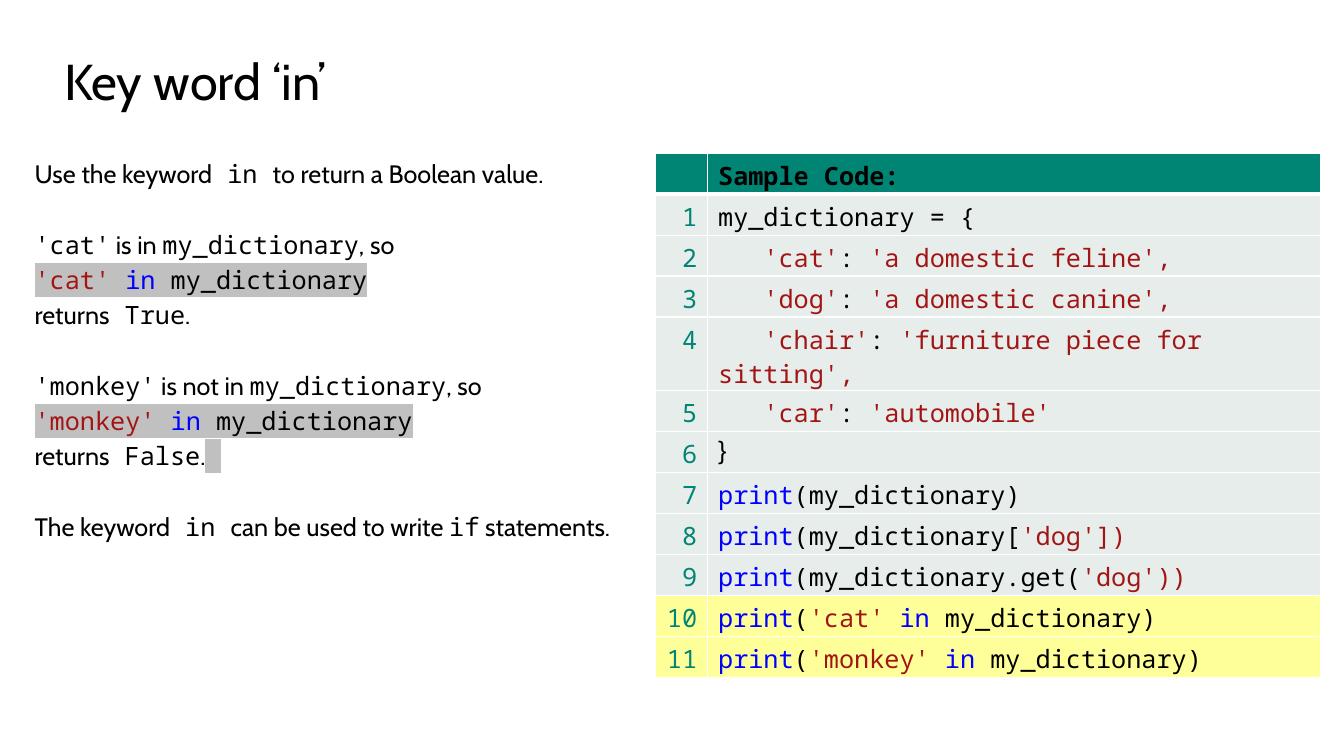
from lxml.etree import SubElement
from pptx import Presentation
from pptx.dml.color import RGBColor
from pptx.enum.text import MSO_ANCHOR, PP_ALIGN
from pptx.oxml import parse_xml
from pptx.oxml.ns import nsdecls, qn
from pptx.util import Pt

PX = 9525
BLACK = RGBColor(0, 0, 0)
WHITE = RGBColor(255, 255, 255)
TEAL = RGBColor(0x00, 0x85, 0x75)
PALE = RGBColor(0xE6, 0xED, 0xEB)
YELLOW = RGBColor(0xFF, 0xFF, 0x99)
RED = RGBColor(0xA3, 0x15, 0x15)
BLUE = RGBColor(0, 0, 255)
GREY = RGBColor(0xC0, 0xC0, 0xC0)
SANS, MONO = "Cabin", "Noto Sans Mono"

# Each style: font, colour, highlight
STYLES = {
    "text": (SANS, BLACK, None),
    "code": (MONO, BLACK, None),
    "str": (MONO, RED, None),
    "key": (MONO, BLUE, None),
    "num": (MONO, TEAL, None),
    "brace": ("Arial", BLACK, None),
    "mark": (MONO, BLACK, GREY),
    "markstr": (MONO, RED, GREY),
    "markkey": (MONO, BLUE, GREY),
}


def test(word):
    return [(word, "markstr"), (" ", "mark"), ("in", "markkey"),
            (" my_dictionary", "mark")]


def claim(word, verb):
    return [(word, "code"), (verb, "text"), ("my_dictionary", "code"),
            (", so", "text")]


def result(value):
    return [("returns", "text"), (" " + value, "code"), (".", "text")]


def entry(key, value):
    return [("   " + key, "str"), (": ", "code"), (value, "str")]


def call(*runs):
    return [("print", "key"), *runs]


# Each group of lines stands apart from the next
BODY = [
    [[("Use the keyword", "text"), (" in ", "code"),
      ("to return a Boolean value.", "text")]],
    [claim("'cat'", " is in "), test("'cat'"), result("True")],
    [claim("'monkey'", " is not in "), test("'monkey'"),
     result("False") + [(" ", "mark")]],
    [[("The keyword", "text"), (" in ", "code"),
      ("can be used to write ", "text"), ("if", "code"),
      (" statements.", "text")]],
]
CODE = [
    [("my_dictionary = {", "code")],
    entry("'cat'", "'a domestic feline',"),
    entry("'dog'", "'a domestic canine',"),
    entry("'chair'", "'furniture piece for sitting',"),
    entry("'car'", "'automobile'"),
    [("}", "brace")],
    call(("(my_dictionary)", "code")),
    call(("(my_dictionary[", "code"), ("'dog'])", "str")),
    call(("(my_dictionary.get(", "code"), ("'dog'))", "str")),
    call(("(", "code"), ("'cat' ", "str"), ("in", "key"),
         (" my_dictionary)", "code")),
    call(("(", "code"), ("'monkey' ", "str"), ("in ", "key"),
         ("my_dictionary)", "code")),
]
LONG = 4
NEW = (10, 11)


def put(item, values):
    for name, value in values.items():
        setattr(item, name, value)


def place(shape, *box):
    sides = ("left", "top", "width", "height")
    put(shape, {side: n * PX for side, n in zip(sides, box)})


def bare(frame):
    put(frame, dict(margin_left=0, margin_top=0, margin_right=0,
                    margin_bottom=0, word_wrap=True,
                    vertical_anchor=MSO_ANCHOR.TOP))


def write(para, runs, size=18, bold=False):
    for text, style in runs:
        face, color, back = STYLES[style]
        run = para.add_run()
        run.text = text
        put(run.font, dict(name=face, size=Pt(size), bold=bold))
        run.font.color.rgb = color
        if back is not None:
            light = parse_xml(f'<a:highlight {nsdecls("a")}>'
                              f'<a:srgbClr val="{back}"/></a:highlight>')
            run.font.fill._xPr.find(qn("a:solidFill")).addnext(light)


def edge(cell, top, bottom):
    """Draw white borders; top and bottom are widths in points."""
    props = cell._tc.get_or_add_tcPr()
    widths = {"L": 1, "R": 1, "T": top, "B": bottom}
    for i, (side, width) in enumerate(widths.items()):
        line = SubElement(props, qn("a:ln" + side), w=str(Pt(width)))
        fill = SubElement(line, qn("a:solidFill"))
        SubElement(fill, qn("a:srgbClr"), val=str(WHITE))
        props.insert(i, line)


def add_title(slide):
    title = slide.shapes.title
    place(title, 61, 48, 1157, 59)
    bare(title.text_frame)
    para = title.text_frame.paragraphs[0]
    para.alignment = PP_ALIGN.LEFT
    write(para, [("Key word ‘in’", "text")], 36)


def add_body(slide):
    box = slide.shapes.add_textbox(33 * PX, 151 * PX, 576 * PX, 427 * PX)
    frame = box.text_frame
    bare(frame)
    for g, group in enumerate(BODY):
        for n, runs in enumerate(group):
            first = g == n == 0
            para = frame.paragraphs[0] if first else frame.add_paragraph()
            gap = 0 if first else 3.6 if n else 28.8
            put(para, dict(line_spacing=Pt(21.6), space_before=Pt(gap)))
            write(para, runs)


def add_code(slide):
    rows = [[[], [("Sample Code:", "code")]]]
    rows += [[[(str(n), "num")], runs] for n, runs in enumerate(CODE, 1)]
    table = slide.shapes.add_table(len(rows), 2, 624 * PX, 146 * PX,
                                   634 * PX, 468 * PX).table
    for col, width in zip(table.columns, (50, 584)):
        col.width = width * PX
    for r, row in enumerate(rows):
        table.rows[r].height = (68 if r == LONG else 39) * PX
        back = TEAL if r == 0 else YELLOW if r in NEW else PALE
        for c, runs in enumerate(row):
            cell = table.cell(r, c)
            put(cell, dict(margin_left=10 * PX, margin_right=10 * PX,
                           margin_top=5 * PX, margin_bottom=0))
            cell.fill.solid()
            cell.fill.fore_color.rgb = back
            edge(cell, 3 if r == 1 else 1, 3 if r == 0 else 1)
            para = cell.text_frame.paragraphs[0]
            para.alignment = PP_ALIGN.LEFT if c else PP_ALIGN.RIGHT
            write(para, runs, bold=r == 0)


def main():
    deck = Presentation()
    put(deck, dict(slide_width=1280 * PX, slide_height=720 * PX))
    slide = deck.slides.add_slide(deck.slide_layouts[5])
    add_title(slide)
    add_code(slide)
    add_body(slide)
    deck.save("out.pptx")


if __name__ == "__main__":
    main()
